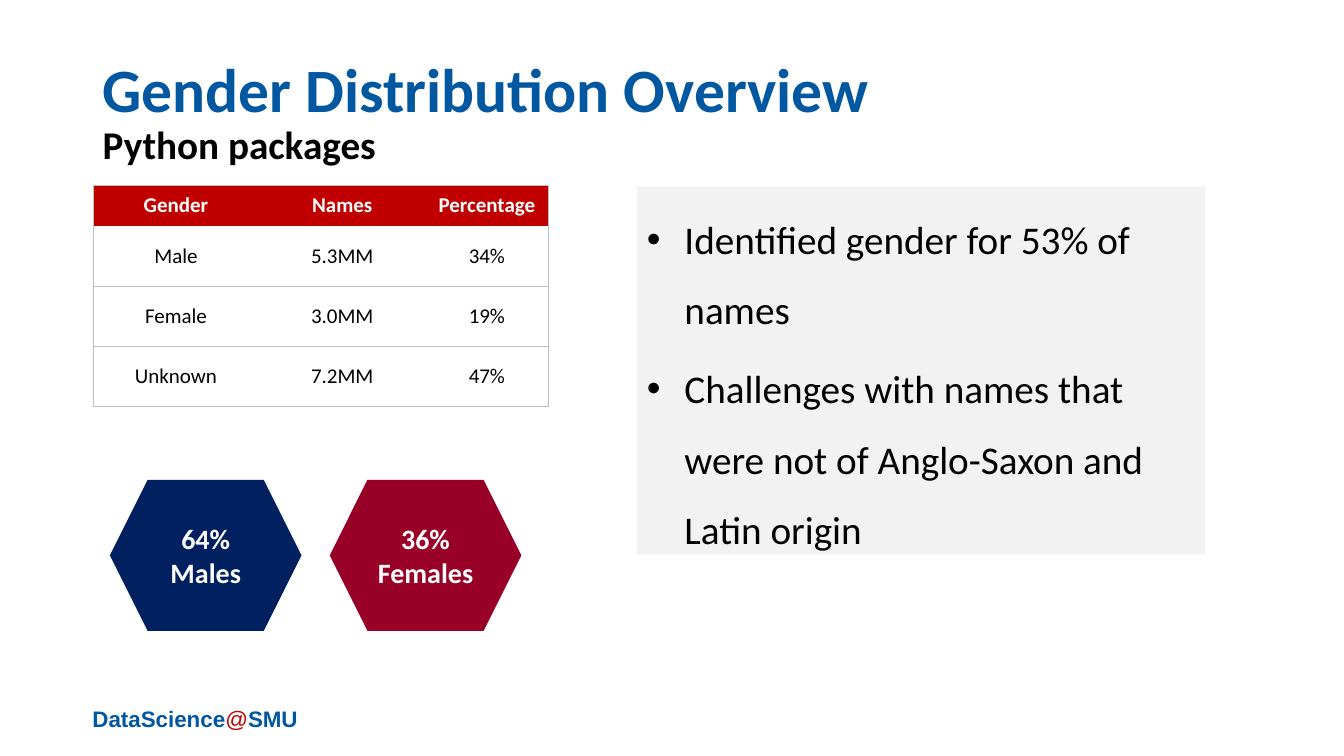
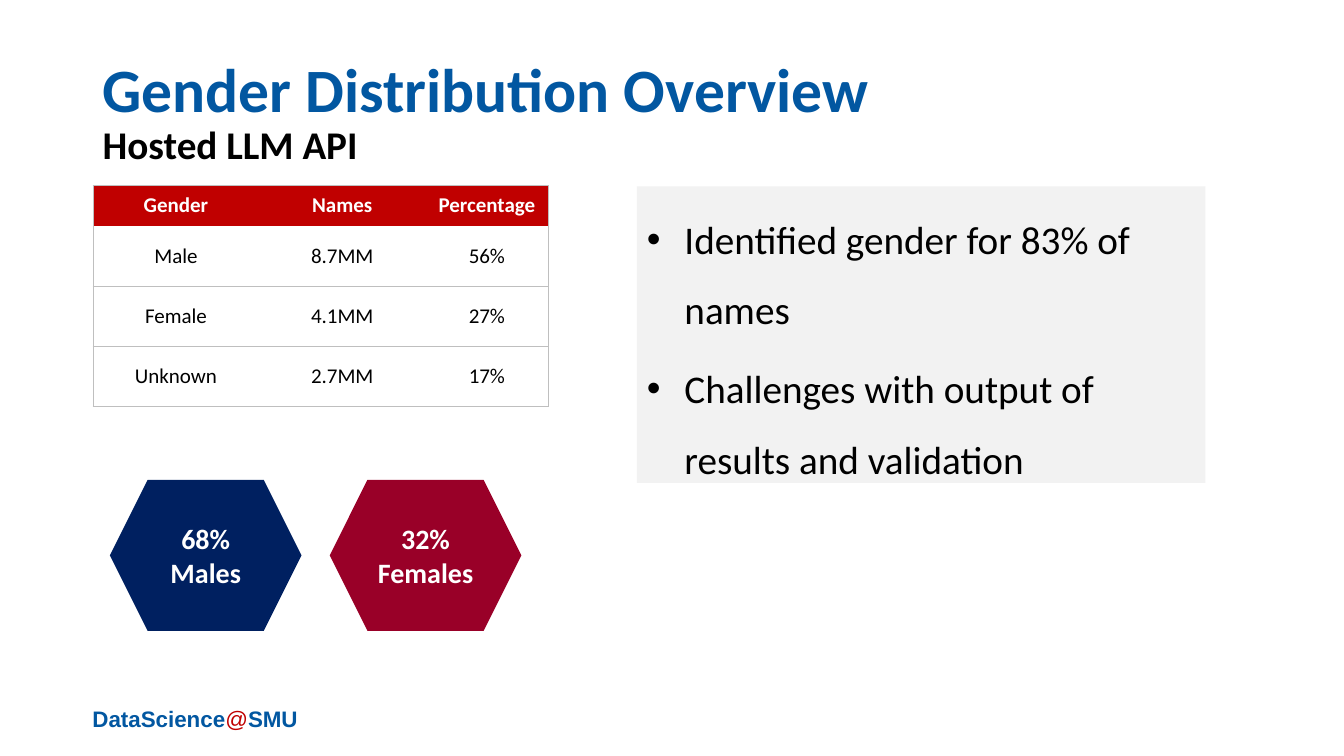
"""Build the two gender distribution slides."""
import pptx
import pptx.dml.color
import pptx.enum.shapes
import pptx.enum.text
import pptx.oxml.ns
import lxml.etree
from pptx.util import Cm, Pt

BLUE, RED, BLACK, WHITE = "0257A1", "C00000", "000000", "FFFFFF"
NAVY, CRIMSON, PANEL, RULE = "002060", "990028", "F2F2F2", "BFBFBF"
CENTER = pptx.enum.text.PP_ALIGN.CENTER
MIDDLE = pptx.enum.text.MSO_ANCHOR.MIDDLE
qn = pptx.oxml.ns.qn


def color(value):
    return pptx.dml.color.RGBColor.from_string(value)


class Deck:
    def __init__(self):
        self.presentation = pptx.Presentation()
        self.presentation.slide_width = Cm(33.87)
        self.presentation.slide_height = Cm(19.05)
        self.slide = None

    def start_slide(self):
        layout = self.presentation.slide_layouts[6]
        self.slide = self.presentation.slides.add_slide(layout)
        self.footer()

    def format_font(self, font, size, fill, bold=False, name="Calibri"):
        font.size = Pt(size)
        font.bold = bold
        font.name = name
        font.color.rgb = color(fill)

    def text_box(self, left, top, width, height):
        box = self.slide.shapes.add_textbox(Cm(left), Cm(top), Cm(width), Cm(height))
        box.text_frame.word_wrap = True
        return box.text_frame

    def footer(self):
        paragraph = self.text_box(2.08, 17.65, 6.5, 1.35).paragraphs[0]
        for text, fill in (("DataScience", BLUE), ("@", RED), ("SMU", BLUE)):
            run = paragraph.add_run()
            run.text = text
            self.format_font(run.font, 16, fill, fill == BLUE, "Arial")

    def title(self, title, subtitle):
        frame = self.text_box(2.34, 1.02, 29.21, 3.68)
        frame.vertical_anchor = MIDDLE
        frame.text = f"{title}\n{subtitle}"
        for paragraph, size, fill in zip(frame.paragraphs, (44, 28), (BLUE, BLACK)):
            paragraph.line_spacing = 0.9
            self.format_font(paragraph.runs[0].font, size, fill, True)

    def shape(self, kind, left, top, width, height, fill):
        shape = self.slide.shapes.add_shape(kind, Cm(left), Cm(top), Cm(width), Cm(height))
        shape.shadow.inherit = False
        shape.fill.solid()
        shape.fill.fore_color.rgb = color(fill)
        shape.line.fill.background()
        return shape.text_frame

    def hexagon(self, left, text, fill):
        kind = pptx.enum.shapes.MSO_SHAPE.HEXAGON
        frame = self.shape(kind, left, 12.09, 4.83, 3.81, fill)
        frame.vertical_anchor = MIDDLE
        frame.text = text
        for paragraph in frame.paragraphs:
            paragraph.alignment = CENTER
            self.format_font(paragraph.runs[0].font, 20, WHITE, True)

    def bullet_panel(self, height, bullets):
        kind = pptx.enum.shapes.MSO_SHAPE.RECTANGLE
        frame = self.shape(kind, 16.05, 4.7, 14.33, height, PANEL)
        frame.vertical_anchor = pptx.enum.text.MSO_ANCHOR.TOP
        frame.auto_size = pptx.enum.text.MSO_AUTO_SIZE.SHAPE_TO_FIT_TEXT
        frame.text = "\n".join(bullets)
        for index, paragraph in enumerate(frame.paragraphs):
            paragraph.alignment = pptx.enum.text.PP_ALIGN.LEFT
            paragraph.line_spacing = 1.5
            paragraph.space_before = Pt(3 if index else 0)
            paragraph.space_after = Pt(3)
            properties = paragraph._p.get_or_add_pPr()
            properties.set("marL", str(Cm(0.95)))
            properties.set("indent", str(-Cm(0.95)))
            lxml.etree.SubElement(properties, qn("a:buFont")).set("typeface", "Arial")
            lxml.etree.SubElement(properties, qn("a:buChar")).set("char", "•")
            self.format_font(paragraph.runs[0].font, 28, BLACK)

    def cell_borders(self, cell, widths):
        properties = cell._tc.get_or_add_tcPr()
        for side in "LRTB":
            width = widths.get(side, 0)
            line = lxml.etree.SubElement(properties, qn(f"a:ln{side}"), w=str(Pt(width)))
            if width:
                fill = lxml.etree.SubElement(line, qn("a:solidFill"))
                lxml.etree.SubElement(fill, qn("a:srgbClr")).set("val", RULE)
            else:
                lxml.etree.SubElement(line, qn("a:noFill"))

    def table(self, rows):
        widths, heights = (4.19, 4.19, 3.1), (1.02, 1.52, 1.52, 1.52)
        table = self.slide.shapes.add_table(
            len(rows), len(widths), Cm(2.34), Cm(4.67), Cm(sum(widths)), Cm(sum(heights))
        ).table
        table.horz_banding = False
        for column, width in zip(table.columns, widths):
            column.width = Cm(width)
        for row, height in zip(table.rows, heights):
            row.height = Cm(height)
        for row_index, row in enumerate(rows):
            header = row_index == 0
            for column_index, text in enumerate(row):
                cell = table.cell(row_index, column_index)
                borders = {"T": 0.5} if header else {"B": 1}
                if row_index > 1:
                    borders["T"] = 1
                if column_index == 0:
                    borders["L"] = 0.5
                if column_index == len(row) - 1:
                    borders["R"] = 0.5
                self.cell_borders(cell, borders)
                cell.fill.solid()
                cell.fill.fore_color.rgb = color(RED if header else WHITE)
                cell.vertical_anchor = MIDDLE
                cell.text_frame.text = text
                paragraph = cell.text_frame.paragraphs[0]
                paragraph.alignment = CENTER
                self.format_font(paragraph.runs[0].font, 15, WHITE if header else BLACK, header)


def overview(deck, subtitle, names, percentages, shares, panel_height, bullets):
    deck.start_slide()
    deck.title("Gender Distribution Overview", subtitle)
    genders = ("Male", "Female", "Unknown")
    deck.table([("Gender", "Names", "Percentage"), *zip(genders, names, percentages)])
    deck.bullet_panel(panel_height, bullets)
    labels = zip(shares, ("Males", "Females"), (NAVY, CRIMSON))
    for index, (share, label, fill) in enumerate(labels):
        deck.hexagon(2.77 + index * 5.54, f"{share}\n{label}", fill)


def main():
    deck = Deck()
    overview(
        deck, "Python packages",
        ("5.3MM", "3.0MM", "7.2MM"), ("34%", "19%", "47%"), ("64%", "36%"), 9.27,
        ("Identified gender for 53% of names",
         "Challenges with names that were not of Anglo-Saxon and Latin origin"),
    )
    overview(
        deck, "Hosted LLM API",
        ("8.7MM", "4.1MM", "2.7MM"), ("56%", "27%", "17%"), ("68%", "32%"), 7.47,
        ("Identified gender for 83% of names",
         "Challenges with output of results and validation"),
    )
    deck.presentation.save("out.pptx")


if __name__ == "__main__":
    main()
